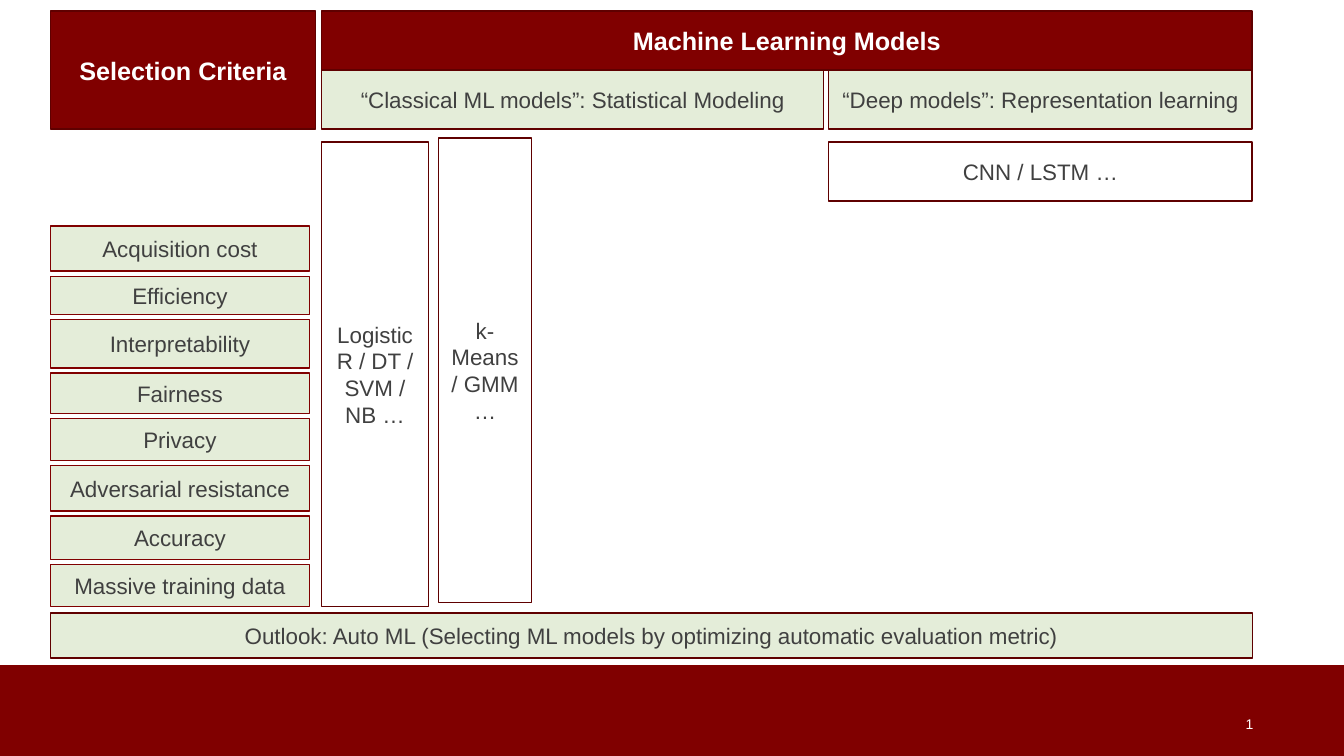
import pptx
import pptx.dml.color
import pptx.enum.shapes
import pptx.enum.text
import pptx.oxml
import pptx.oxml.ns
import pptx.util

Inches = pptx.util.Inches
Pt = pptx.util.Pt
RGBColor = pptx.dml.color.RGBColor
PP_ALIGN = pptx.enum.text.PP_ALIGN

MAROON = RGBColor(0x80, 0x00, 0x00)
DARK_MAROON = RGBColor(0x5F, 0x00, 0x00)
PALE_GREEN = RGBColor(0xE4, 0xED, 0xD9)
WHITE = RGBColor(0xFF, 0xFF, 0xFF)
GREY = RGBColor(0x40, 0x40, 0x40)

LEFT = 0.5
MODELS_LEFT = 3.19
DEEP_LEFT = 8.22
RIGHT = 12.42
HEADER_TOP = 0.11
HEADER_ROW = 0.585
MODELS_TOP = 1.41
CRITERIA_TOP = 2.24
CRITERIA_WIDTH = 2.57
CRITERIA_GAP = 0.05

CRITERIA = [
    ("Acquisition cost", 0.45),
    ("Efficiency", 0.38),
    ("Interpretability", 0.48),
    ("Fairness", 0.4),
    ("Privacy", 0.42),
    ("Adversarial resistance", 0.45),
    ("Accuracy", 0.43),
    ("Massive training data", 0.42),
]


class SlideBuilder:
    font = "Arial"

    def __init__(self, slide):
        self.slide = slide

    def style_text(self, tf, size, color, align, bold=False):
        tf.word_wrap = True
        tf.vertical_anchor = pptx.enum.text.MSO_ANCHOR.MIDDLE
        p = tf.paragraphs[0]
        p.alignment = align
        for r in p.runs:
            r.font.name = self.font
            r.font.size = Pt(size)
            r.font.bold = bold
            r.font.color.rgb = color

    def rect(self, left, top, width, height, fill, line=None):
        sp = self.slide.shapes.add_shape(
            pptx.enum.shapes.MSO_SHAPE.RECTANGLE,
            Inches(left), Inches(top), Inches(width), Inches(height))
        sp.shadow.inherit = False
        sp.fill.solid()
        sp.fill.fore_color.rgb = fill
        if line is None:
            sp.line.fill.background()
        else:
            sp.line.color.rgb = line
            sp.line.width = Pt(1)
        return sp

    def box(self, text, left, top, width, height, fill=PALE_GREEN, line=DARK_MAROON):
        sp = self.rect(left, top, width, height, fill, line)
        sp.text_frame.text = text
        self.style_text(sp.text_frame, 16, GREY, PP_ALIGN.CENTER)

    def header(self, text, left, top, width, height):
        sp = self.rect(left, top, width, height, MAROON, DARK_MAROON)
        sp.text_frame.text = text
        self.style_text(sp.text_frame, 18, WHITE, PP_ALIGN.CENTER, bold=True)

    def slide_number(self, left, top, width, height):
        sp = self.slide.shapes.add_textbox(
            Inches(left), Inches(top), Inches(width), Inches(height))
        tf = sp.text_frame
        tf.text = "1"
        self.style_text(tf, 10, WHITE, PP_ALIGN.RIGHT)
        r = tf.paragraphs[0].runs[0]._r
        field = pptx.oxml.parse_xml(
            '<a:fld %s id="{B6F15528-21DE-4FAA-801E-634DDDAF4B2B}" type="slidenum"/>'
            % pptx.oxml.ns.nsdecls("a"))
        r.addprevious(field)
        field.extend(list(r))
        r.getparent().remove(r)


def main():
    prs = pptx.Presentation()
    prs.slide_width = Inches(13.33)
    prs.slide_height = Inches(7.5)
    builder = SlideBuilder(prs.slides.add_slide(prs.slide_layouts[6]))

    builder.rect(0, 6.6, 13.33, 0.9, MAROON)
    builder.slide_number(9.42, 6.98, 3.11, 0.4)

    builder.header("Selection Criteria", LEFT, HEADER_TOP, 2.63, 2 * HEADER_ROW)
    builder.header("Machine Learning Models", MODELS_LEFT, HEADER_TOP,
                   RIGHT - MODELS_LEFT, HEADER_ROW)
    family_top = HEADER_TOP + HEADER_ROW
    builder.box("“Classical ML models”: Statistical Modeling",
                MODELS_LEFT, family_top, 4.98, HEADER_ROW)
    builder.box("“Deep models”: Representation learning",
                DEEP_LEFT, family_top, RIGHT - DEEP_LEFT, HEADER_ROW)

    builder.box("Logistic R / DT / SVM / NB …", MODELS_LEFT, MODELS_TOP, 1.06, 4.61, WHITE)
    builder.box("k-Means / GMM …", 4.35, 1.37, 0.92, 4.61, WHITE)
    builder.box("CNN / LSTM …", DEEP_LEFT, MODELS_TOP, RIGHT - DEEP_LEFT, HEADER_ROW, WHITE)

    top = CRITERIA_TOP
    for name, height in CRITERIA:
        builder.box(name, LEFT, top, CRITERIA_WIDTH, height, line=MAROON)
        top += height + CRITERIA_GAP

    builder.box("Outlook: Auto ML (Selecting ML models by optimizing automatic evaluation metric)",
                LEFT, 6.08, RIGHT - LEFT, 0.45)

    prs.save("out.pptx")


if __name__ == "__main__":
    main()
